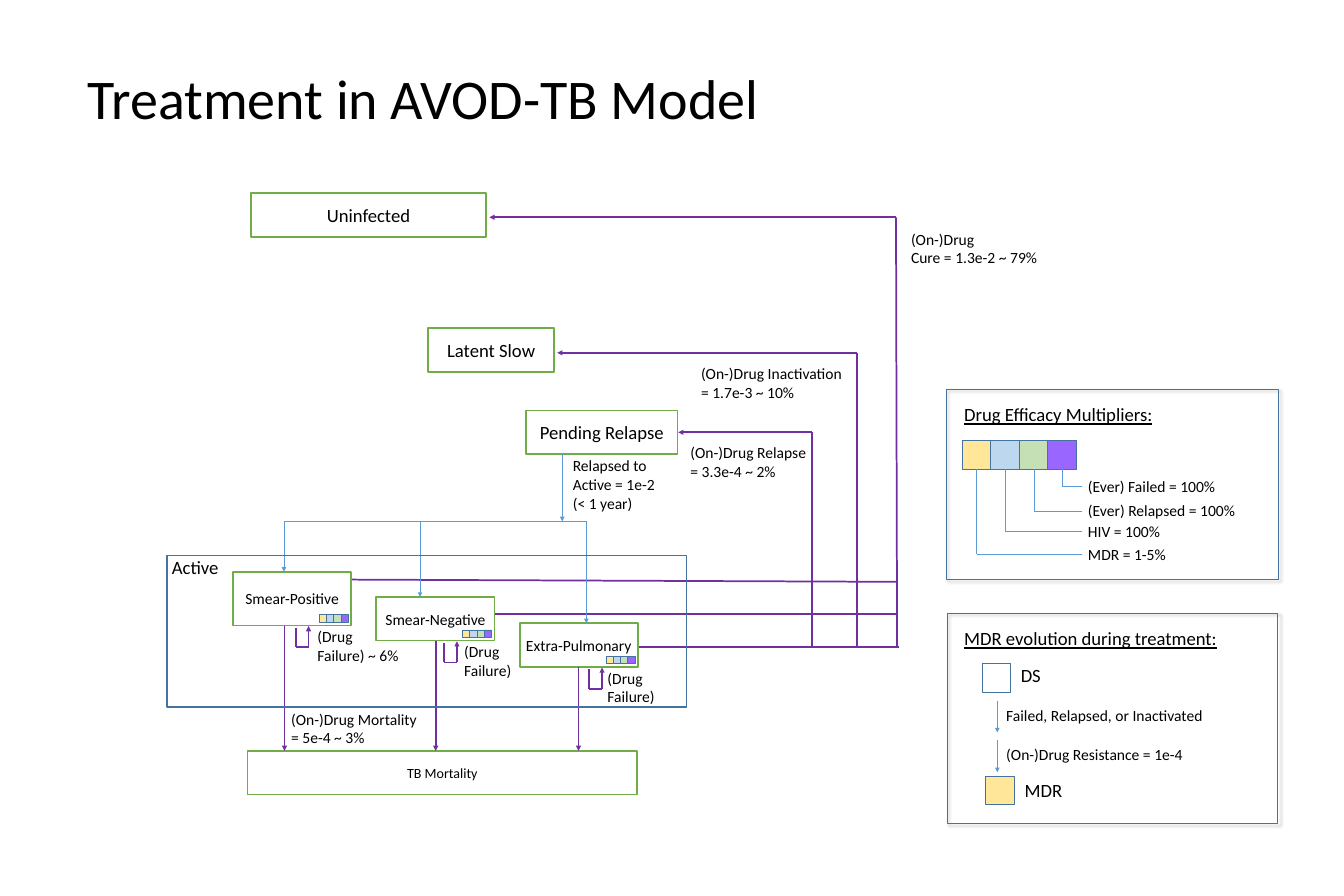
from pptx import Presentation
from pptx.dml.color import RGBColor
from pptx.enum import shapes, text
from pptx.oxml import ns, xmlchemy
from pptx.util import Inches, Pt


class Theme:
    font = "Calibri"
    ink = "000000"
    paper = "FFFFFF"
    state = "70AD47"
    drug = "7030A0"
    natural = "5B9BD5"
    frame = "43739E"
    mdr = "FFE699"
    multipliers = [mdr, "BDD7EE", "C5E0B4", "9966FF"]
    title, heading, body, small = 72, 24, 20, 18
    bold_line, frame_line, thin_line = 2.25, 1, 0.5


deck = Presentation()
deck.slide_width, deck.slide_height = Inches(24), Inches(16)
slide = deck.slides.add_slide(deck.slide_layouts[6])


def write(words, at, size=Theme.body, fill=None, line=None, weight=Theme.bold_line,
          wrap=False, underline=False):
    place = [Inches(length) for length in at]
    if line:
        item = slide.shapes.add_shape(shapes.MSO_SHAPE.RECTANGLE, *place)
        item.shadow.inherit = False
        if fill:
            item.fill.solid()
            item.fill.fore_color.rgb = RGBColor.from_string(fill)
        else:
            item.fill.background()
        item.line.color.rgb = RGBColor.from_string(line)
        item.line.width = Pt(weight)
    else:
        item = slide.shapes.add_textbox(*place)
    if words:
        frame = item.text_frame
        frame.text = words
        frame.word_wrap = bool(line) or wrap
        if line:
            frame.vertical_anchor = text.MSO_ANCHOR.MIDDLE
        else:
            frame.auto_size = text.MSO_AUTO_SIZE.SHAPE_TO_FIT_TEXT
        for paragraph in frame.paragraphs:
            paragraph.alignment = text.PP_ALIGN.CENTER if line else text.PP_ALIGN.LEFT
            font = paragraph.runs[0].font
            font.name, font.size, font.underline = Theme.font, Pt(size), underline
            font.color.rgb = RGBColor.from_string(Theme.ink)
    return item


def connect(points, color=Theme.drug, weight=Theme.bold_line, arrow=True):
    for number, (start, end) in enumerate(zip(points, points[1:]), 2):
        link = slide.shapes.add_connector(
            shapes.MSO_CONNECTOR.STRAIGHT, *[Inches(length) for length in start + end])
        link.line.color.rgb = RGBColor.from_string(color)
        link.line.width = Pt(weight)
        properties = link._element.spPr
        if arrow and number == len(points):
            head = xmlchemy.OxmlElement("a:tailEnd")
            head.set("type", "triangle")
            properties.find(ns.qn("a:ln")).append(head)
        properties.append(xmlchemy.OxmlElement("a:effectLst"))


write("Treatment in AVOD-TB Model", (1.47, 1.09, 12.86, 1.31), size=Theme.title)

connect([(8.84, 10.97), (16.01, 10.97)], arrow=False)
connect([(6.27, 10.35), (16, 10.39)], arrow=False)
connect([(11.39, 11.56), (16.05, 11.56)], arrow=False)
connect([(16.02, 11.56), (16, 3.88), (8.74, 3.88)])
connect([(15.3, 11.56), (15.3, 6.3), (9.95, 6.3)])
connect([(14.5, 11.56), (14.5, 7.72), (12.11, 7.72)])

for name, left, top, width, size in [
    ("Uninfected", 4.48, 3.45, 4.2, Theme.heading),
    ("Latent Slow", 7.64, 5.86, 2.26, Theme.heading),
    ("Pending Relapse", 9.39, 7.33, 2.71, Theme.heading),
    ("TB Mortality", 4.42, 13.41, 6.96, Theme.small),
]:
    write(name, (left, top, width, 0.78), size=size, fill=Theme.paper, line=Theme.state)

for rate, left, top, width in [
    ("(On-)Drug\nCure = 1.3e-2 ~ 79%", 16.17, 4.05, 2.47),
    ("(On-)Drug Inactivation\n= 1.7e-3 ~ 10%", 12.42, 6.45, 2.74),
    ("(On-)Drug Relapse\n= 3.3e-4 ~ 2%", 12.23, 7.86, 2.29),
    ("(On-)Drug Mortality\n= 5e-4 ~ 3%", 5.1, 12.62, 2.47),
]:
    write(rate, (left, top, width, 0.77))

write("Relapsed to\nActive = 1e-2\n(< 1 year)", (10.13, 8.1, 2.32, 1.11), wrap=True)
connect([(10.04, 8.11), (10.04, 9.31)], Theme.natural, Theme.thin_line)
connect([(5.07, 9.31), (10.47, 9.31)], Theme.natural, Theme.thin_line, arrow=False)

chip_rows = [(17.18, 7.87, 0.51)]
for name, left, top, height, relapse_x, death_x, retry_x, failure, failure_x, failure_width in [
    ("Smear-Positive", 4.16, 10.21, 0.96, 5.07, 5.08, 5.28, "(Drug\nFailure) ~ 6%", 5.57, 1.67),
    ("Smear-Negative", 6.72, 10.66, 0.78, 7.5, 7.78, 7.93, "(Drug\nFailure)", 8.19, 1.06),
    ("Extra-Pulmonary", 9.28, 11.13, 0.78, 10.47, 10.33, 10.52, "(Drug\nFailure)", 10.75, 1.06),
]:
    bottom = top + height
    write(name, (left, top, 2.11, height), fill=Theme.paper, line=Theme.state)
    connect([(relapse_x, 9.31), (relapse_x, top)], Theme.natural, Theme.thin_line)
    connect([(death_x, bottom), (death_x, 13.41)])
    connect([(retry_x, bottom + 0.04), (retry_x, bottom + 0.39),
             (retry_x + 0.23, bottom + 0.39), (retry_x + 0.23, bottom + 0.01)])
    write(failure, (failure_x, bottom - 0.02, failure_width, 0.77))
    chip_rows.append((left + 1.54, bottom - 0.19, 0.13))

write("", (2.98, 9.92, 9.28, 2.71), line=Theme.frame)
write("Active", (2.97, 9.88, 1.05, 0.5), size=Theme.heading)

for left, top, side in chip_rows:
    for column, color in enumerate(Theme.multipliers):
        write("", (left + column * side, top, side, side), fill=color,
              line=Theme.frame, weight=Theme.frame_line)

for column, (multiplier, top, width, level) in enumerate([
    ("MDR = 1-5%", 9.69, 1.6, 9.9),
    ("HIV = 100%", 9.28, 1.5, 9.48),
    ("(Ever) Relapsed = 100%", 8.9, 2.85, 9.12),
    ("(Ever) Failed = 100%", 8.47, 2.5, 8.68),
]):
    chip_x = 17.44 + column * 0.51
    connect([(chip_x, 8.38), (chip_x, level), (19.33, level)],
            Theme.natural, Theme.thin_line, arrow=False)
    write(multiplier, (19.33, top, width, 0.44))

write("", (17.54, 11.85, 0.51, 0.51), line=Theme.frame, weight=Theme.frame_line)
write("", (17.6, 13.86, 0.51, 0.51), fill=Theme.mdr, line=Theme.frame, weight=Theme.frame_line)
write("DS", (18.13, 11.8, 0.56, 0.5), size=Theme.heading)
write("MDR", (18.2, 13.86, 0.88, 0.5), size=Theme.heading)

for step, top, width in [
    ("Failed, Relapsed, or Inactivated", 12.51, 3.75),
    ("(On-)Drug Resistance = 1e-4", 13.22, 3.45),
]:
    connect([(17.81, top), (17.81, top + 0.57)], Theme.natural, Theme.thin_line)
    write(step, (17.87, top + 0.04, width, 0.44))

for heading, heading_top, heading_width, panel_place in [
    ("Drug Efficacy Multipliers:", 7.15, 3.93, (16.9, 6.96, 5.93, 3.39)),
    ("MDR evolution during treatment:", 11.15, 4.8, (16.92, 10.95, 5.9, 3.75)),
]:
    write(heading, (17.12, heading_top, heading_width, 0.5), size=Theme.heading,
          wrap=True, underline=True)
    panel = write("", panel_place, line=Theme.frame, weight=Theme.frame_line)
    shadow = xmlchemy.OxmlElement("a:outerShdw")
    for key, value in {"blurRad": Pt(4), "dist": Pt(3), "dir": 45 * 60000}.items():
        shadow.set(key, str(value))
    shade = xmlchemy.OxmlElement("a:srgbClr")
    shade.set("val", Theme.ink)
    alpha = xmlchemy.OxmlElement("a:alpha")
    alpha.set("val", "40000")
    shade.append(alpha)
    shadow.append(shade)
    panel._element.spPr.find(ns.qn("a:effectLst")).append(shadow)

deck.save("out.pptx")
